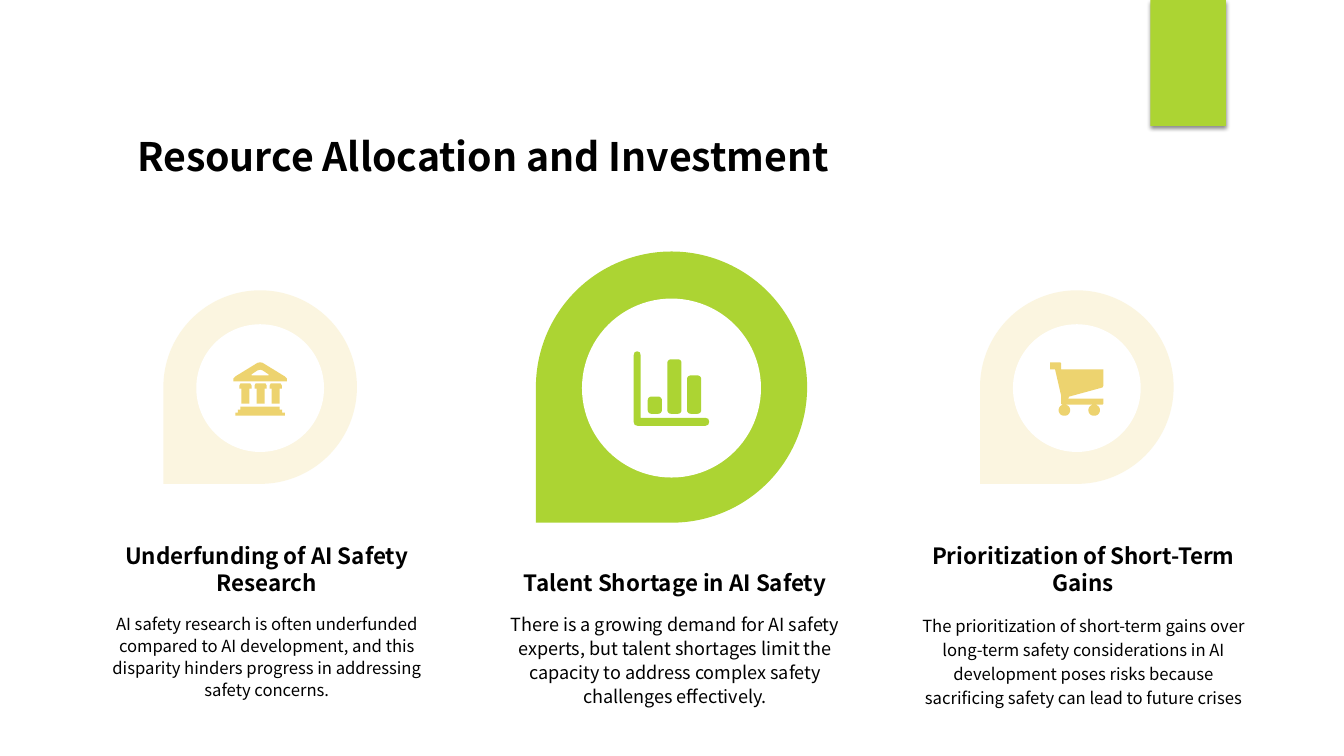
from math import cos, pi, sin

from lxml import etree
from pptx import Presentation
from pptx.dml.color import RGBColor
from pptx.enum.shapes import MSO_SHAPE as Shape
from pptx.enum.text import MSO_ANCHOR as Anchor, MSO_AUTO_SIZE as AutoSize, PP_ALIGN as Align
from pptx.oxml.ns import qn
from pptx.util import Inches, Pt

FONT = "Noto Sans CJK SC"
COLORS = {"green": "ACD433", "gold": "E6C133", "white": "FFFFFF", "black": "000000"}


def set_format(target, values):
    for name, value in values.items():
        setattr(target, name, value)


def paint(shape, color, opacity=100):
    shape.shadow.inherit = False
    shape.fill.solid()
    shape.fill.fore_color.rgb = RGBColor.from_string(COLORS[color])
    shape.line.fill.background()
    if opacity < 100:
        tint = shape.element.spPr.find(".//" + qn("a:srgbClr"))
        etree.SubElement(tint, qn("a:alpha"), val=str(opacity * 1000))


def write(shape, text, size, bold=False, align=Align.CENTER, anchor=Anchor.TOP, spacing=1.0):
    frame = shape.text_frame
    set_format(frame, {"word_wrap": True, "auto_size": AutoSize.NONE, "vertical_anchor": anchor})
    paragraph = frame.paragraphs[0]
    set_format(paragraph, {"alignment": align, "line_spacing": spacing})
    run = paragraph.add_run()
    run.text = text
    set_format(run.font, {"name": FONT, "size": Pt(size), "bold": bold})
    run.font.color.rgb = RGBColor.from_string(COLORS["black"])


def box(x, y, width, height):
    return [(x, y), (x + width, y), (x + width, y + height), (x, y + height)]


def rounded(x, y, width, height, radius):
    centers = box(x + radius, y + radius, width - 2 * radius, height - 2 * radius)
    return [
        (cx + radius * cos(angle), cy + radius * sin(angle))
        for corner, (cx, cy) in enumerate(centers)
        for angle in [pi + (corner + step / 6) * pi / 2 for step in range(7)]
    ]


def bank_icon():
    roof = [(0, 19), (0, 16), (2, 14), (24, 0.5), (26.5, 0), (29, 0.5), (51, 14), (53, 16), (53, 19)]
    gable = [(18, 13), (18, 12), (24, 8), (26.5, 7.3), (29, 8), (35, 12), (35, 13)]
    steps = [box(7 - 2.5 * i, 44 + 3 * i, 39 + 5 * i, 3) for i in range(3)]
    column = [(1, 21), (11, 21), (12, 23), (12, 26), (10, 26), (10, 41), (2, 41), (2, 26), (0, 26), (0, 23)]
    columns = [[(x + 6 + 15 * i, y) for x, y in column] for i in range(3)]
    return [roof, gable, *steps, *columns]


def chart_icon():
    axes = [(0, 4), (1, 1), (3.5, 0), (6, 1), (7, 4), (7, 66), (71, 66), (74, 67), (75, 70),
            (74, 73), (71, 74), (4, 74), (1, 73), (0, 70)]
    bars = [rounded(14 + 19.5 * i, top, 14, 62 - top, 3.5) for i, top in enumerate([45, 8, 24])]
    return [axes, *bars]


def cart_icon():
    basket = [(0, 0), (10, 0), (11, 1), (11, 7), (53, 7), (53, 23), (52, 25), (19, 34), (18, 36),
              (53, 36), (53, 41), (52, 42), (12, 42), (11, 41), (11, 33), (5, 7), (0, 7)]
    wheels = [rounded(x, 42, 11.5, 11, 5.5) for x in (8.5, 38)]
    return [basket, *wheels]


def add_icon(slide, contours, left, top, color, opacity):
    outlines = [[(10 * x, 10 * y) for x, y in points] for points in contours]
    builder = slide.shapes.build_freeform(*outlines[0][0], scale=Inches(0.001))
    builder.add_line_segments(outlines[0][1:])
    for points in outlines[1:]:
        builder.move_to(*points[0])
        builder.add_line_segments(points[1:])
    paint(builder.convert_to_shape(Inches(left), Inches(top)), color, opacity)


def add_centered(slide, kind, center_x, center_y, size):
    return slide.shapes.add_shape(kind, Inches(center_x - size / 2), Inches(center_y - size / 2),
                                  Inches(size), Inches(size))


def add_pin(slide, center_x, center_y, style):
    size = style["size"]
    drop = add_centered(slide, Shape.TEAR, center_x, center_y, size)
    drop.rotation = 180
    paint(drop, style["color"], style["pin_opacity"])
    paint(add_centered(slide, Shape.OVAL, center_x, center_y + 0.01, size * 0.66), "white")
    half = style["icon_size"] / 2
    add_icon(slide, style["icon"], center_x - half, center_y + 0.02 - half,
             style["color"], style["icon_opacity"])


def add_topic(slide, left, top, width, topic):
    add_pin(slide, left + topic["pin_x"], top + 1.36, topic["pin"])
    heading = slide.shapes.add_textbox(Inches(left), Inches(top + 3.11), Inches(width), Inches(0.37))
    write(heading, topic["heading"], 16, bold=True, anchor=Anchor.BOTTOM)
    body = slide.shapes.add_textbox(Inches(left), Inches(top + 3.54), Inches(width), Inches(1.06))
    write(body, topic["body"], topic["size"], spacing=topic["spacing"])


def add_title(slide, text, left, top, width, height):
    title = slide.shapes.title
    set_format(title, {"left": Inches(left), "top": Inches(top),
                       "width": Inches(width), "height": Inches(height)})
    write(title, text, 28, bold=True, align=Align.LEFT, anchor=Anchor.BOTTOM)


def add_corner_tab(slide, left, top, width, height):
    tab = slide.shapes.add_shape(Shape.RECTANGLE, Inches(left), Inches(top), Inches(width), Inches(height))
    paint(tab, "green")
    effects = tab.element.spPr.find(qn("a:effectLst"))
    shadow = etree.SubElement(effects, qn("a:outerShdw"), blurRad=str(Pt(3)), dist=str(Pt(2)),
                              dir="5400000", rotWithShape="0")
    tint = etree.SubElement(shadow, qn("a:srgbClr"), val=COLORS["black"])
    etree.SubElement(tint, qn("a:alpha"), val="45000")


SIDE_PIN = {"size": 1.92, "color": "gold", "pin_opacity": 15, "icon_size": 0.53, "icon_opacity": 70}
MAIN_PIN = {"size": 2.69, "color": "green", "pin_opacity": 100, "icon_size": 0.75, "icon_opacity": 100}
TOPICS = [
    {"heading": "Underfunding of AI Safety Research",
     "body": "AI safety research is often underfunded compared to AI development, and this disparity "
             "hinders progress in addressing safety concerns.",
     "size": 11.9, "spacing": 1.1, "pin_x": 1.69, "pin": {**SIDE_PIN, "icon": bank_icon()}},
    {"heading": "Talent Shortage in AI Safety",
     "body": "There is a growing demand for AI safety experts, but talent shortages limit the capacity "
             "to address complex safety challenges effectively.",
     "size": 12.9, "spacing": 1.1, "pin_x": 1.72, "pin": {**MAIN_PIN, "icon": chart_icon()}},
    {"heading": "Prioritization of Short-Term Gains",
     "body": "The prioritization of short-term gains over long-term safety considerations in AI "
             "development poses risks because sacrificing safety can lead to future crises",
     "size": 11.9, "spacing": 1.2, "pin_x": 1.69, "pin": {**SIDE_PIN, "icon": cart_icon()}},
]


def main():
    presentation = Presentation()
    set_format(presentation, {"slide_width": Inches(13.33), "slide_height": Inches(7.5)})
    slide = presentation.slides.add_slide(presentation.slide_layouts[5])
    add_corner_tab(slide, 11.41, 0, 0.75, 1.25)
    add_title(slide, "Resource Allocation and Investment", 1.26, 1.06, 9.58, 0.77)
    for index, topic in enumerate(TOPICS):
        add_topic(slide, 0.89 + 4.05 * index, 2.48, 3.51, topic)
    presentation.save("out.pptx")


if __name__ == "__main__":
    main()
